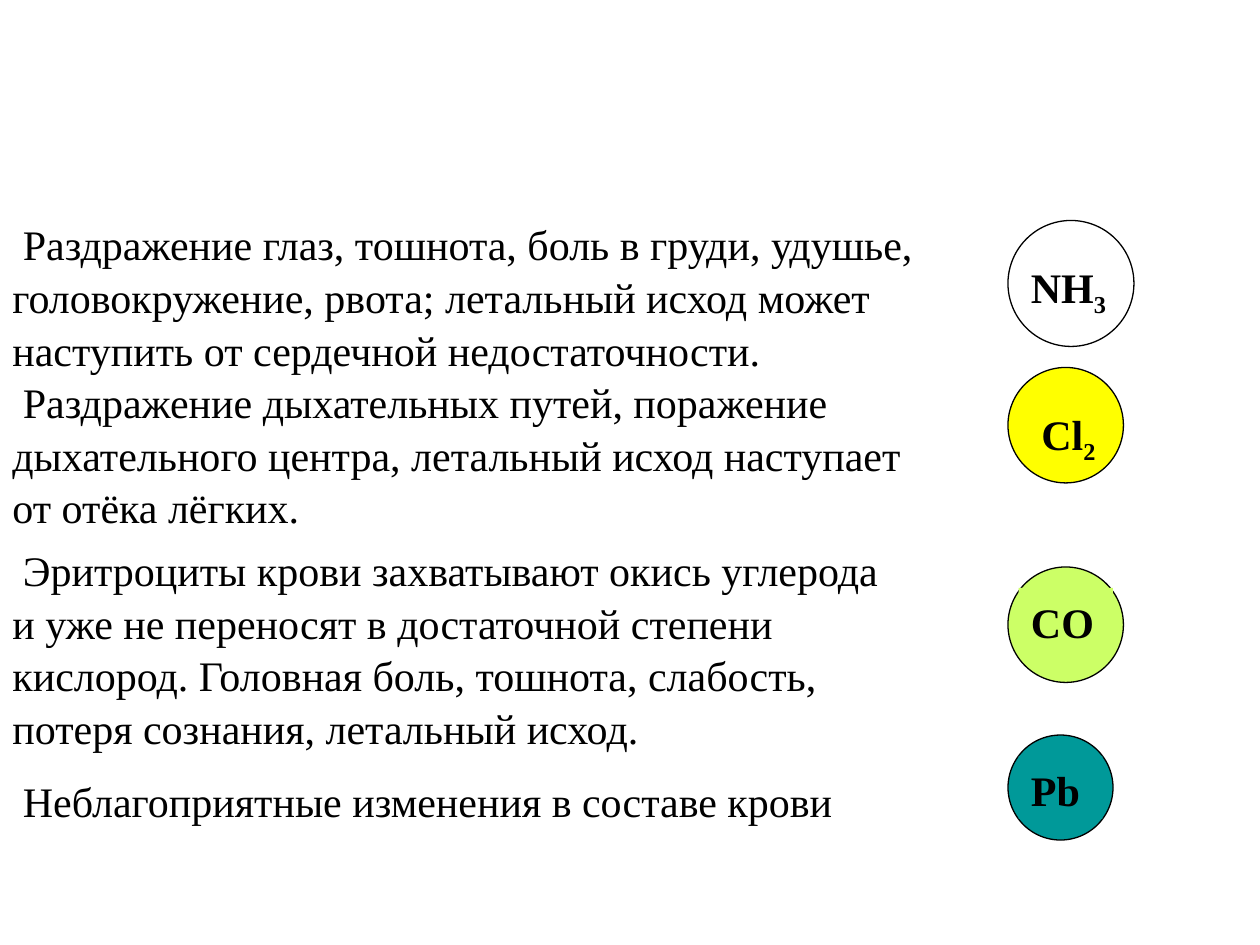
from pptx import Presentation
from pptx.dml.color import RGBColor
from pptx.enum.shapes import MSO_SHAPE
from pptx.enum.text import MSO_ANCHOR, PP_ALIGN
from pptx.util import Pt


def color(hex_value):
    return RGBColor.from_string(hex_value)


class GasSlide:
    font = "Times New Roman"
    size = 24
    ink = "000000"
    line_spacing = 1.05

    def __init__(self, deck):
        self.slide = deck.slides.add_slide(deck.slide_layouts[6])
        self.slide.background.fill.solid()
        self.slide.background.fill.fore_color.rgb = color("FFFFFF")

    def add_text(self, frame, runs, bold=False):
        frame.word_wrap = True
        frame.vertical_anchor = MSO_ANCHOR.TOP
        paragraph = frame.paragraphs[0]
        paragraph.alignment = PP_ALIGN.LEFT
        paragraph.space_before = Pt(15)
        paragraph.line_spacing = self.line_spacing
        for text, baseline in runs:
            run = paragraph.add_run()
            run.text = text
            run.font.name = self.font
            run.font.size = Pt(self.size)
            run.font.bold = bold
            run.font.color.rgb = color(self.ink)
            if baseline:
                run._r.get_or_add_rPr().set("baseline", str(baseline))

    def symptoms(self, top, width, height, text):
        note = self.slide.shapes.add_textbox(Pt(0), Pt(top), Pt(width), Pt(height))
        self.add_text(note.text_frame, [(text, 0)])

    def badge(self, top, diameter, fill, label_box, formula, filled_label):
        group = self.slide.shapes.add_group_shape()
        circle = group.shapes.add_shape(
            MSO_SHAPE.OVAL, Pt(576), Pt(top), Pt(diameter), Pt(diameter))
        circle.shadow.inherit = False
        circle.fill.solid()
        circle.fill.fore_color.rgb = color(fill)
        circle.line.color.rgb = color(self.ink)
        circle.line.width = Pt(0.75)
        label = group.shapes.add_textbox(*(Pt(length) for length in label_box))
        if filled_label:
            label.fill.solid()
            label.fill.fore_color.rgb = color(fill)
        self.add_text(label.text_frame, formula, bold=True)


SUBSTANCES = [
    ((120, 576, 93.6),
     " Раздражение глаз, тошнота, боль в груди, удушье, головокружение, рвота; "
     "летальный исход может наступить от сердечной недостаточности.",
     (126, 72, "FFFFFF", (582, 144, 66, 40), [("NH", 0), ("3", -25000)], False)),
    ((210, 522, 93.6),
     " Раздражение дыхательных путей, поражение дыхательного центра, "
     "летальный исход наступает от отёка лёгких.",
     (210, 66, "FFFF00", (588, 228, 60, 40), [("Cl", 0), ("2", -25000)], False)),
    ((306, 522, 122.4),
     " Эритроциты крови захватывают окись углерода и уже не переносят "
     "в достаточной степени кислород. Головная боль, тошнота, слабость, "
     "потеря сознания, летальный исход.",
     (324, 66, "CCFF66", (582, 336, 54, 36), [("CO", 0)], True)),
    ((438, 504, 36),
     " Неблагоприятные изменения в составе крови",
     (420, 60, "009999", (582, 432, 48, 36), [("Pb", 0)], True)),
]


def main():
    deck = Presentation()
    deck.slide_width, deck.slide_height = Pt(720), Pt(540)
    gases = GasSlide(deck)
    for place, effects, badge in SUBSTANCES:
        gases.symptoms(*place, effects)
        gases.badge(*badge)
    deck.save("out.pptx")


if __name__ == "__main__":
    main()
